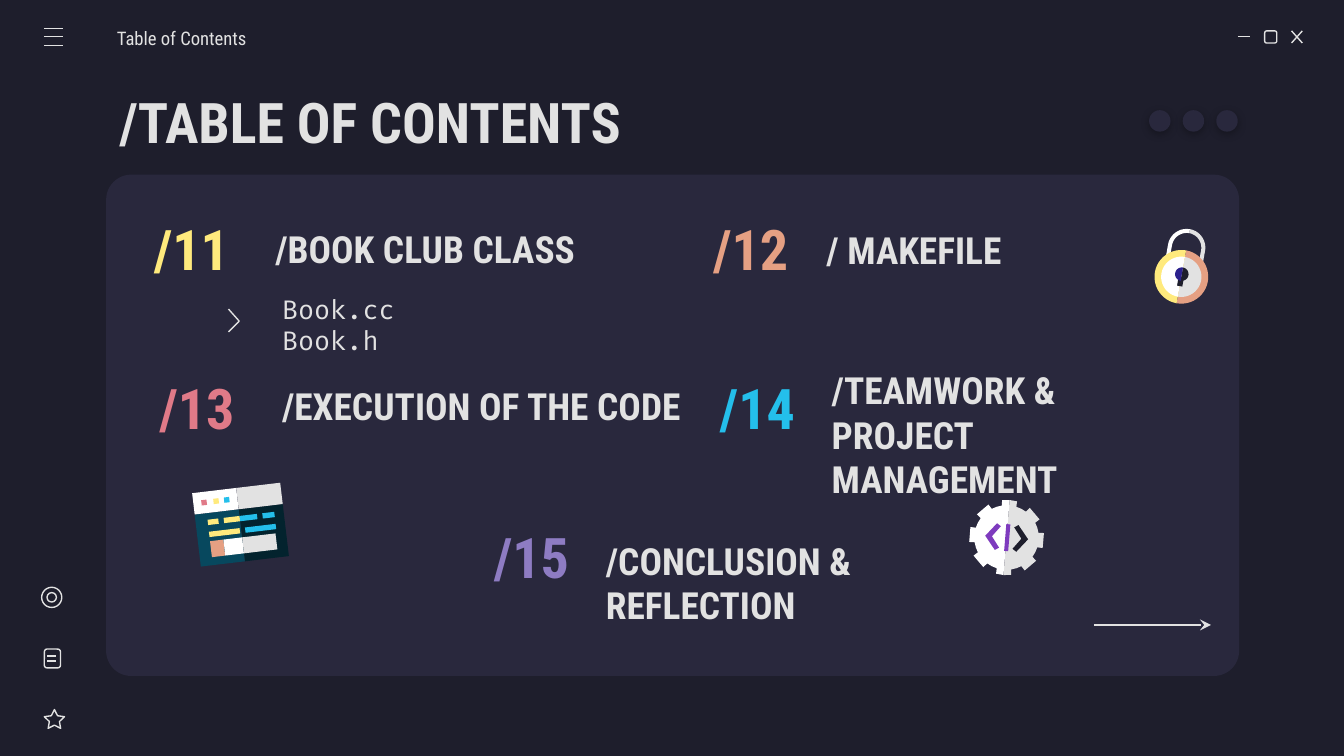
from math import cos, radians, sin

from lxml.etree import SubElement
from pptx import Presentation
from pptx.dml.color import RGBColor
from pptx.enum.shapes import MSO_CONNECTOR, MSO_SHAPE
from pptx.enum.text import MSO_ANCHOR, PP_ALIGN
from pptx.oxml.ns import qn
from pptx.util import Inches, Pt

NIGHT = RGBColor(0x1E, 0x1E, 0x2C)
PANEL = RGBColor(0x29, 0x28, 0x3D)
MIST = RGBColor(0xE2, 0xE2, 0xE2)
WHITE = RGBColor(0xFF, 0xFF, 0xFF)
YELLOW = RGBColor(0xFF, 0xEA, 0x7D)
ORANGE = RGBColor(0xE5, 0xA0, 0x83)
PINK = RGBColor(0xE0, 0x7A, 0x88)
CYAN = RGBColor(0x24, 0xBF, 0xEB)
LAVENDER = RGBColor(0x8E, 0x7C, 0xC3)
PURPLE = RGBColor(0x7E, 0x3B, 0xBE)
INDIGO = RGBColor(0x2B, 0x21, 0x8D)
TEAL = RGBColor(0x07, 0x48, 0x5E)
DEEP_TEAL = RGBColor(0x03, 0x23, 0x2E)
BLACK = RGBColor(0, 0, 0)

HEADING = {"name": "Roboto Condensed", "size": Pt(20), "bold": True}
LARGE = {**HEADING, "size": Pt(30)}
CAPTION = {"name": "Roboto Condensed", "size": Pt(10), "bold": False}
CODE = {"name": "Fira Code", "size": Pt(14), "bold": False}


def add_text(slide, box, lines, font_format, color=MIST, align=PP_ALIGN.LEFT, inset=0.1):
    """Place vertically centred lines of text in a box."""
    frame = slide.shapes.add_textbox(*map(Inches, box)).text_frame
    frame_format = {"word_wrap": True, "vertical_anchor": MSO_ANCHOR.MIDDLE,
                    "margin_left": Inches(inset), "margin_right": Inches(0.1),
                    "margin_top": Inches(0.1), "margin_bottom": Inches(0.1)}
    for key, value in frame_format.items():
        setattr(frame, key, value)
    for index, line in enumerate(lines):
        paragraph = frame.add_paragraph() if index else frame.paragraphs[0]
        paragraph.text, paragraph.alignment = line, align
        for key, value in font_format.items():
            setattr(paragraph.font, key, value)
        paragraph.font.color.rgb = color


def paint(shape, fill=None, line=None):
    """Give a shape a plain fill and a thin outline, or none."""
    shape.shadow.inherit = False
    for part, color in ((shape.fill, fill), (shape.line.fill, line)):
        if color is None:
            part.background()
        else:
            part.solid()
            part.fore_color.rgb = color
    if line is not None:
        shape.line.width = Pt(0.75)
    return shape


def add_preset(slide, preset, box, fill=None, line=None):
    """Place a preset shape in a box."""
    return paint(slide.shapes.add_shape(preset, *map(Inches, box)), fill, line)


def add_line(slide, x1, y1, x2, y2):
    """Draw a thin straight line."""
    line = slide.shapes.add_connector(MSO_CONNECTOR.STRAIGHT, *map(Inches, (x1, y1, x2, y2)))
    line.line.color.rgb, line.line.width = MIST, Pt(0.75)
    SubElement(line._element.spPr, qn("a:effectLst"))
    return line


def turn(center, point, tilt):
    """Turn a point by a tilt in degrees and shift it to a centre."""
    c, s = cos(radians(tilt)), sin(radians(tilt))
    x, y = point
    return center[0] + x * c - y * s, center[1] + x * s + y * c


def add_outline(slide, center, points, tilt=0, fill=None, line=None):
    """Draw an outline around a centre, closed when it is filled."""
    placed = [tuple(map(Inches, turn(center, point, tilt))) for point in points]
    builder = slide.shapes.build_freeform(*placed[0])
    builder.add_line_segments(placed[1:], close=fill is not None)
    paint(builder.convert_to_shape(), fill, line)


def arc(radius, side, start=-90, end=90, steps=24):
    """Return arc points on the right (1) or left (-1) side."""
    angles = [radians(start + (end - start) * i / steps) for i in range(steps + 1)]
    return [(side * radius * cos(a), radius * sin(a)) for a in angles]


def add_top_bar(slide, left, top):
    """Place the menu icon, caption and window buttons."""
    for y in (top + 0.09, top + 0.15, top + 0.22):
        add_line(slide, left + 0.33, y, left + 0.47, y)
    add_text(slide, (left + 0.87, top + 0.01, 1.17, 0.3), ["Table of Contents"], CAPTION, inset=0)
    add_line(slide, left + 9.21, top + 0.15, left + 9.3, top + 0.15)
    add_preset(slide, MSO_SHAPE.ROUNDED_RECTANGLE, (left + 9.41, top + 0.11, 0.09, 0.09), line=MIST)
    for start, end in ((9.61, 9.69), (9.69, 9.61)):
        add_line(slide, left + start, top + 0.11, left + end, top + 0.2)


def add_side_bar(slide, left, top):
    """Place the target, note and star icons."""
    for gap, size in ((0, 0.15), (0.04, 0.07)):
        add_preset(slide, MSO_SHAPE.OVAL, (left + gap, top + gap, size, size), line=MIST)
    add_preset(slide, MSO_SHAPE.ROUNDED_RECTANGLE, (left + 0.02, top + 0.46, 0.12, 0.14), line=MIST)
    for y in (top + 0.51, top + 0.55):
        add_line(slide, left + 0.04, y, left + 0.11, y)
    star = add_preset(slide, MSO_SHAPE.STAR_5_POINT, (left + 0.02, top + 0.91, 0.15, 0.14), line=MIST)
    star.adjustments[0] = 0.25


def add_dots(slide, left, top):
    """Place three dots with soft shadows."""
    for column in range(3):
        dot = add_preset(slide, MSO_SHAPE.OVAL, (left + 0.25 * column, top, 0.16, 0.16), PANEL)
        effects = dot._element.spPr.find(qn("a:effectLst"))
        shadow = SubElement(effects, qn("a:outerShdw"), blurRad=str(Pt(4.5)), dist=str(Pt(1.5)),
                            dir="5400000", algn="bl", rotWithShape="0")
        color = SubElement(shadow, qn("a:srgbClr"), val=str(BLACK))
        SubElement(color, qn("a:alpha"), val="30000")


def add_entry(slide, left, top, number, color, heading, heading_box):
    """Place a coloured number with a heading beside it."""
    add_text(slide, (left, top, 0.91, 0.56), [number], LARGE, color, PP_ALIGN.CENTER)
    x, y, width, height = heading_box
    add_text(slide, (left + x, top + y, width, height), [heading], HEADING)


def add_window(slide, left, top, tilt=-6.8):
    """Draw a tilted code window from its top left corner."""
    bars = [(0.33, 0.16, 0.33, 0.39, DEEP_TEAL), (0, 0.16, 0.33, 0.39, TEAL),
            (0.33, 0, 0.33, 0.16, MIST), (0, 0, 0.33, 0.16, WHITE),
            (0.09, 0.37, 0.1, 0.12, ORANGE), (0.19, 0.37, 0.14, 0.12, WHITE),
            (0.33, 0.37, 0.25, 0.12, MIST)]
    small_bars = [(0.06, 0.06, 0.04, PINK), (0.15, 0.06, 0.04, YELLOW), (0.23, 0.06, 0.04, CYAN),
                  (0.09, 0.21, 0.08, YELLOW), (0.21, 0.21, 0.12, YELLOW), (0.33, 0.21, 0.13, CYAN),
                  (0.5, 0.21, 0.09, CYAN), (0.09, 0.3, 0.23, YELLOW), (0.36, 0.3, 0.23, CYAN)]
    for x, y, width, height, fill in bars + [(x, y, w, 0.04, fill) for x, y, w, fill in small_bars]:
        cx, cy = turn((left, top), (x + width / 2, y + height / 2), tilt)
        bar = add_preset(slide, MSO_SHAPE.RECTANGLE,
                         (cx - width / 2, cy - height / 2, width, height), fill)
        bar.rotation = tilt


def add_gear(slide, center, tilt=4.7):
    """Draw a two-tone gear with a code sign."""
    chevron = [(0.08, -0.1), (0.16, 0), (0.08, 0.1), (0.05, 0.08), (0.11, 0), (0.05, -0.08)]
    corners = ((-22.5, 0.24), (-13, 0.24), (-11.5, 0.28), (11.5, 0.28), (13, 0.24))
    teeth = [(45 * tooth + offset, radius) for tooth in range(-2, 3) for offset, radius in corners]
    rim = [(-90, 0.28)] + [(a, r) for a, r in teeth if -90 < a < 90] + [(90, 0.28)]
    for side, fill, sign_fill in ((1, MIST, NIGHT), (-1, WHITE, PURPLE)):
        half = [(side * r * cos(radians(a)), r * sin(radians(a))) for a, r in rim]
        add_outline(slide, center, half, tilt, fill)
        add_outline(slide, center, [(side * x, y) for x, y in chevron], tilt, sign_fill)
    slash = [(-0.01, -0.1), (0.02, -0.1), (0.02, 0.1), (-0.01, 0.1)]
    add_outline(slide, center, slash, tilt, PURPLE)


def add_padlock(slide, center, tilt=10.2):
    """Draw a two-tone padlock around the centre of its body."""
    shackle = turn(center, (0, -0.22), tilt)
    keyhole = turn(center, (0, -0.02), tilt)
    for side, bow, ring, face in ((1, MIST, ORANGE, MIST), (-1, WHITE, YELLOW, WHITE)):
        legs = [(side * 0.14, 0.13), (side * 0.11, 0.13)]
        half_bow = arc(0.14, side, -90, 0) + legs + arc(0.11, side, 0, -90)
        add_outline(slide, shackle, half_bow, tilt, bow)
        for radius, fill in ((0.2, ring), (0.15, face)):
            add_outline(slide, center, arc(radius, side), tilt, fill)
    slot = [(-0.02, 0.02), (0.02, 0.02), (0.02, 0.09), (-0.02, 0.09)]
    add_outline(slide, keyhole, slot, tilt, NIGHT)
    for side, fill in ((1, NIGHT), (-1, INDIGO)):
        add_outline(slide, keyhole, arc(0.05, side), tilt, fill)


def add_contents(slide, left, top, width, height):
    """Place the panel with its entries and decorations."""
    panel = add_preset(slide, MSO_SHAPE.ROUNDED_RECTANGLE, (left, top, width, height), PANEL)
    panel.adjustments[0] = 0.05
    entries = [
        (0.18, 0.27, "/11", YELLOW, "/BOOK CLUB CLASS", (0.98, 0, 2.56, 0.56)),
        (4.34, 0.27, "/12", ORANGE, "/ MAKEFILE", (0.92, -0.12, 2.89, 0.81)),
        (0.22, 1.45, "/13", PINK, "/EXECUTION OF THE CODE", (0.99, -0.09, 3.18, 0.71)),
        (4.39, 1.45, "/14", CYAN, "/TEAMWORK & PROJECT MANAGEMENT", (0.91, -0.09, 2.2, 1.14)),
        (2.71, 2.56, "/15", LAVENDER, "/CONCLUSION & REFLECTION", (0.91, 0, 2.56, 0.95)),
    ]
    for x, y, *entry in entries:
        add_entry(slide, left + x, top + y, *entry)
    add_text(slide, (left + 1.21, top + 0.74, 2.08, 0.75), ["Book.cc", "Book.h"], CODE)
    add_outline(slide, (left + 0.95, top + 1.09), [(-0.04, -0.09), (0.04, 0), (-0.04, 0.08)], line=MIST)
    add_gear(slide, (left + 6.7, top + 2.7))
    add_window(slide, left + 0.64, top + 2.37)
    add_padlock(slide, (left + 8, top + 0.76))
    arrow = add_line(slide, left + 7.35, top + 3.35, left + 8.22, top + 3.35)
    SubElement(arrow.line._get_or_add_ln(), qn("a:tailEnd"), type="stealth")


def main():
    """Build and save the slide."""
    deck = Presentation()
    deck.slide_width, deck.slide_height = Inches(10), Inches(10) * 9 // 16
    slide = deck.slides.add_slide(deck.slide_layouts[6])
    slide.background.fill.solid()
    slide.background.fill.fore_color.rgb = NIGHT
    add_contents(slide, 0.79, 1.3, 8.43, 3.73)
    add_text(slide, (0.79, 0.59, 8.43, 0.63), ["/TABLE OF CONTENTS"], LARGE)
    add_top_bar(slide, 0, 0.12)
    add_side_bar(slide, 0.31, 4.37)
    add_dots(slide, 8.55, 0.82)
    deck.save("out.pptx")


if __name__ == "__main__":
    main()
